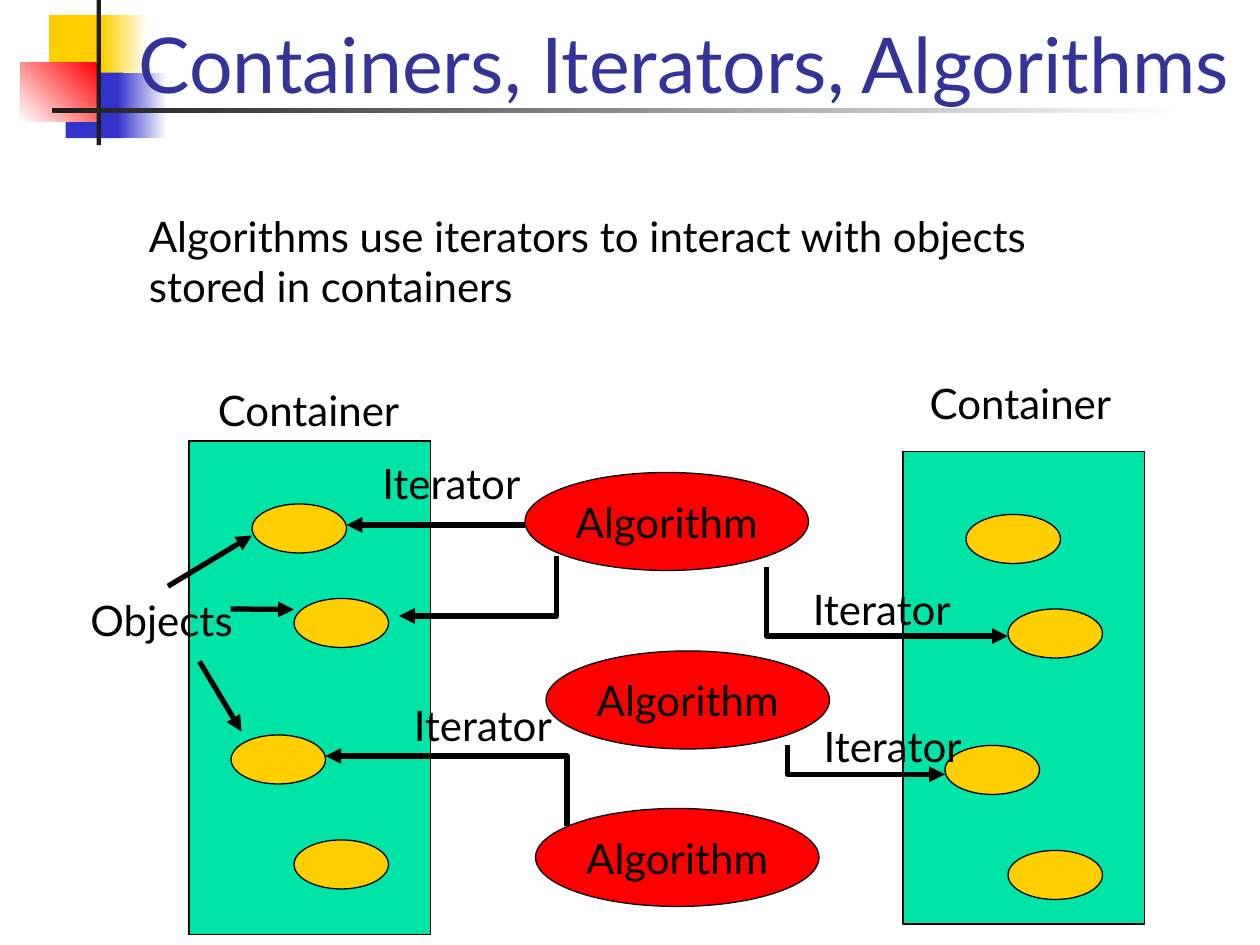
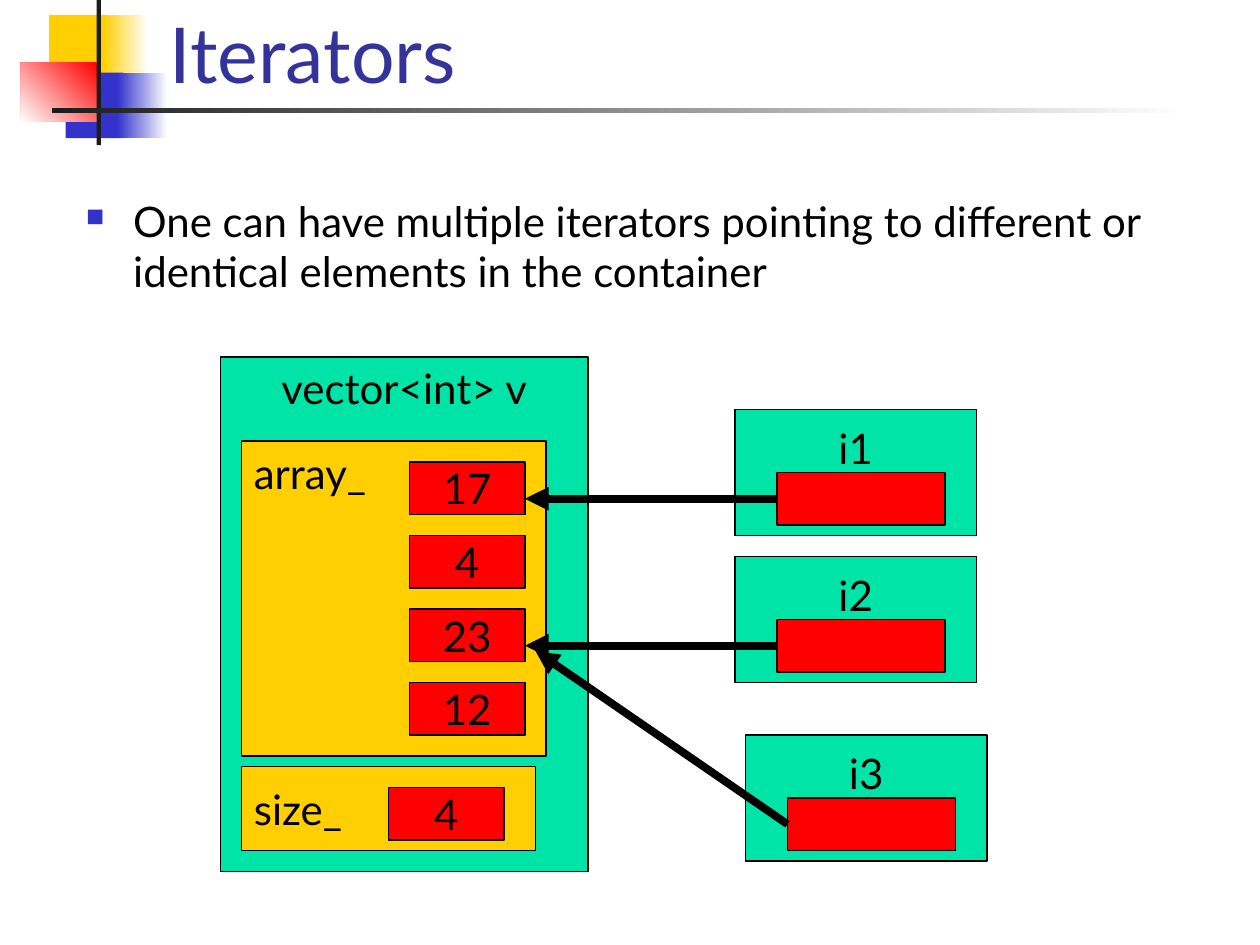
from dataclasses import dataclass
from typing import Optional

import lxml.etree
import pptx
import pptx.dml.color
import pptx.enum.shapes
import pptx.enum.text
import pptx.oxml.ns
import pptx.util

Pt = pptx.util.Pt
RGBColor = pptx.dml.color.RGBColor
Preset = pptx.enum.shapes.MSO_SHAPE
Align = pptx.enum.text.PP_ALIGN
Anchor = pptx.enum.text.MSO_ANCHOR

BLACK = RGBColor(0x00, 0x00, 0x00)
WHITE = RGBColor(0xFF, 0xFF, 0xFF)
GOLD = RGBColor(0xFF, 0xCF, 0x01)
BLUE = RGBColor(0x33, 0x33, 0xCC)
RED = RGBColor(0xFF, 0x00, 0x00)
GREEN = RGBColor(0x00, 0xE4, 0xA8)
CHARCOAL = RGBColor(0x1C, 0x1C, 0x1C)
TITLE_COLOR = RGBColor(0x33, 0x33, 0x99)

FONT = "Lato"
TITLE_SIZE = 44
TEXT_SIZE = 24
LABEL_HEIGHT = 36


@dataclass(frozen=True)
class Box:
    left: float
    top: float
    width: float
    height: float

    def lengths(self) -> tuple:
        return Pt(self.left), Pt(self.top), Pt(self.width), Pt(self.height)


@dataclass(frozen=True)
class Band:
    box: Box
    start: RGBColor
    end: Optional[RGBColor] = None
    angle: float = 180  # counterclockwise, in degrees


@dataclass(frozen=True)
class Label:
    text: str
    box: Box


@dataclass(frozen=True)
class Container:
    box: Box
    label: Box


@dataclass(frozen=True)
class Iterator:
    name: str
    left: float
    top: float
    target: tuple


BANDS = [
    Band(Box(28, 8.5, 34.5, 37.5), GOLD),
    Band(Box(58.5, 8.5, 26, 37.5), WHITE, GOLD),
    Band(Box(37.5, 41.5, 33, 37.5), BLUE),
    Band(Box(67, 41.5, 28.5, 37.5), WHITE, BLUE),
    Band(Box(12, 36, 44, 33.5), RED, WHITE, 225),
    Band(Box(55.25, 0, 2.5, 83), CHARCOAL),
    Band(Box(30, 62, 648, 2.5), WHITE, CHARCOAL),
]

CONTAINERS = [
    Container(Box(108, 252, 138, 282), Box(117.4, 216, 125.3, LABEL_HEIGHT)),
    Container(Box(516, 258, 138, 270), Box(524.2, 212.4, 125.3, LABEL_HEIGHT)),
]
OBJECT_OFFSETS = [(36, 36), (60, 90), (24, 168), (60, 228)]
ALGORITHM_CORNERS = [(300, 270), (312, 372), (306, 462)]
ITERATOR_CORNERS = [(211.4, 258), (463.6, 408.2), (229.4, 396), (457.4, 330)]
OBJECT_ARROWS = [
    ((300, 300), (198, 300)),
    ((131.8, 348), (168, 348.3)),
    ((114, 378), (138, 418)),
    ((96, 335), (144, 306)),
]
ELBOW_ARROWS = [
    ((318, 318), (318, 352), (228, 352)),
    ((438, 324), (438, 363.5), (576, 363.5)),
    ((324, 472), (324, 432), (186, 432)),
    ((450, 426), (450, 442.5), (540, 442.5)),
]

ARRAY_VALUES = ["17", "4", "23", "12"]
ITERATORS = [
    Iterator("i3", 426, 420, (306, 372)),
    Iterator("i1", 420, 234, (300, 285)),
    Iterator("i2", 420, 318, (300, 369)),
]


def add_span(para, text: str, size: float, color: RGBColor) -> None:
    span = para.add_run()
    span.text = text
    span.font.name = FONT
    span.font.size = Pt(size)
    span.font.color.rgb = color


def add_text(slide, box: Box, lines: list[str], size: float = TEXT_SIZE,
             color: RGBColor = BLACK, anchor=Anchor.TOP, wrap: bool = False):
    shape = slide.shapes.add_textbox(*box.lengths())
    frame = shape.text_frame
    frame.word_wrap = wrap
    frame.vertical_anchor = anchor
    if not wrap:
        frame.auto_size = pptx.enum.text.MSO_AUTO_SIZE.SHAPE_TO_FIT_TEXT
    for index, line in enumerate(lines):
        para = frame.add_paragraph() if index else frame.paragraphs[0]
        add_span(para, line, size, color)
    return frame


def add_figure(slide, box: Box, fill: RGBColor, text: str = "", preset=Preset.RECTANGLE,
               align=Align.CENTER, top_inset: Optional[float] = None):
    """Draw an outlined shape; a top inset pins its text to the upper edge."""
    shape = slide.shapes.add_shape(preset, *box.lengths())
    shape.shadow.inherit = False
    shape.fill.solid()
    shape.fill.fore_color.rgb = fill
    shape.line.color.rgb = BLACK
    shape.line.width = Pt(0.75)
    if text:
        frame = shape.text_frame
        frame.word_wrap = preset == Preset.RECTANGLE
        frame.vertical_anchor = Anchor.MIDDLE
        if top_inset is not None:
            frame.vertical_anchor = Anchor.TOP
            frame.margin_top = Pt(top_inset)
        frame.paragraphs[0].alignment = align
        add_span(frame.paragraphs[0], text, TEXT_SIZE, BLACK)
    return shape


def style_arrow(line_shape, width: float) -> None:
    """Set a black line with a triangle at its end and no shadow."""
    line_shape.line.color.rgb = BLACK
    line_shape.line.width = Pt(width)
    qn = pptx.oxml.ns.qn
    properties = line_shape._element.spPr
    lxml.etree.SubElement(properties.find(qn("a:ln")), qn("a:tailEnd"), type="triangle")
    lxml.etree.SubElement(properties, qn("a:effectLst"))


def add_arrow(slide, start: tuple, end: tuple, width: float):
    arrow = slide.shapes.add_connector(
        pptx.enum.shapes.MSO_CONNECTOR.STRAIGHT, *map(Pt, start + end))
    style_arrow(arrow, width)
    return arrow


def add_elbow_arrow(slide, points: tuple, width: float) -> None:
    start, *corners = [tuple(map(Pt, point)) for point in points]
    builder = slide.shapes.build_freeform(*start)
    builder.add_line_segments(corners, close=False)
    arrow = builder.convert_to_shape()
    arrow.fill.background()
    style_arrow(arrow, width)


def add_band(slide, band: Band) -> None:
    shape = slide.shapes.add_shape(Preset.RECTANGLE, *band.box.lengths())
    shape.shadow.inherit = False
    shape.line.fill.background()
    if band.end is None:
        shape.fill.solid()
        shape.fill.fore_color.rgb = band.start
    else:
        shape.fill.gradient()
        shape.fill.gradient_angle = band.angle
        for stop, color in zip(shape.fill.gradient_stops, (band.start, band.end)):
            stop.color.rgb = color


def add_page(deck, title: str, title_box: Box):
    page = deck.slides.add_slide(deck.slide_layouts[6])
    for band in BANDS:
        add_band(page, band)
    add_text(page, title_box, [title], TITLE_SIZE, TITLE_COLOR, Anchor.BOTTOM, wrap=True)
    return page


def add_bullet(para) -> None:
    para.space_before = Pt(6)
    qn = pptx.oxml.ns.qn
    properties = para._p.get_or_add_pPr()
    indent = Pt(27)
    properties.set("marL", str(indent))
    properties.set("indent", str(-indent))
    color = lxml.etree.SubElement(properties, qn("a:buClr"))
    lxml.etree.SubElement(color, qn("a:srgbClr"), val=str(BLUE))
    lxml.etree.SubElement(properties, qn("a:buSzPct"), val="60000")
    lxml.etree.SubElement(properties, qn("a:buChar"), char="■")


def build_overview(deck) -> None:
    page = add_page(deck, "Containers, Iterators, Algorithms", Box(72, -24, 678, 90))
    for container in CONTAINERS:
        add_figure(page, container.box, GREEN)
        for across, down in OBJECT_OFFSETS:
            object_box = Box(container.box.left + across, container.box.top + down, 54, 28)
            add_figure(page, object_box, GOLD, preset=Preset.OVAL)
    for left, top in ALGORITHM_CORNERS:
        add_figure(page, Box(left, top, 162, 56), RED, "Algorithm", Preset.OVAL)
    for start, end in OBJECT_ARROWS:
        add_arrow(page, start, end, 3)
    for points in ELBOW_ARROWS:
        add_elbow_arrow(page, points, 3)

    labels = [Label("Container", container.label) for container in CONTAINERS]
    labels += [Label("Iterator", Box(left, top, 100.8, LABEL_HEIGHT))
               for left, top in ITERATOR_CORNERS]
    labels.append(Label("Objects", Box(44.6, 336, 99.4, LABEL_HEIGHT)))
    for label in labels:
        add_text(page, label.box, [label.text])
    add_text(page, Box(78, 116.6, 551.5, 65),
             ["Algorithms use iterators to interact with objects", "stored in containers"])


def add_iterator(page, iterator: Iterator) -> None:
    frame_box = Box(iterator.left, iterator.top, 138, 72)
    slot_box = Box(iterator.left + 24, iterator.top + 36, 96, 30)
    add_figure(page, frame_box, GREEN, iterator.name, top_inset=7.2)
    slot = add_figure(page, slot_box, RED)
    start = (slot_box.left, slot_box.top + slot_box.height / 2)
    arrow = add_arrow(page, start, iterator.target, 4.5)
    arrow.begin_connect(slot, 1)


def build_iterators(deck) -> None:
    page = add_page(deck, "Iterators", Box(90, -30, 613.5, 90))
    body = add_text(page, Box(42, 108, 663, 375),
                    ["One can have multiple iterators pointing to different or "
                     "identical elements in the container"], wrap=True)
    add_bullet(body.paragraphs[0])

    add_figure(page, Box(126, 204, 210, 294), GREEN, "vector<int> v", top_inset=3)
    add_figure(page, Box(138, 252, 174, 180), GOLD, "array_", align=Align.LEFT, top_inset=3.6)
    for row, value in enumerate(ARRAY_VALUES):
        add_figure(page, Box(234, 264 + 42 * row, 66, 30), RED, value)
    add_figure(page, Box(138, 438, 168, 48), GOLD, "size_", align=Align.LEFT)
    add_figure(page, Box(222, 450, 66, 30), RED, str(len(ARRAY_VALUES)))
    for iterator in ITERATORS:
        add_iterator(page, iterator)


def main() -> None:
    deck = pptx.Presentation()
    deck.slide_width, deck.slide_height = Pt(720), Pt(540)
    build_overview(deck)
    build_iterators(deck)
    deck.save("out.pptx")


if __name__ == "__main__":
    main()
